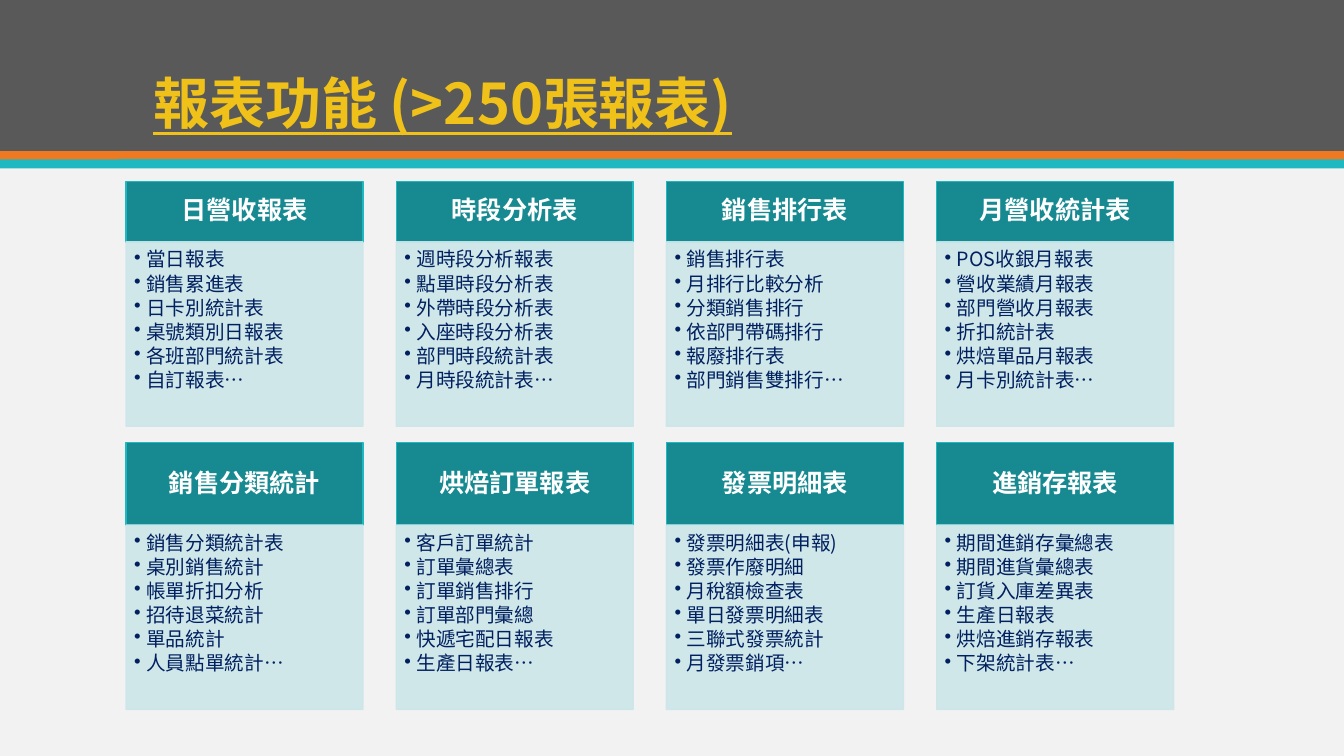
from lxml.etree import SubElement
from pptx import Presentation
from pptx.dml.color import RGBColor
from pptx.enum.shapes import MSO_CONNECTOR, MSO_SHAPE
from pptx.enum.text import MSO_ANCHOR, MSO_AUTO_SIZE, PP_ALIGN
from pptx.oxml.ns import qn
from pptx.util import Inches, Pt

FONT = "Noto Sans CJK SC"
COLORS = {
    "background": "F2F2F2",
    "band": "595959",
    "orange": "EF7920",
    "turquoise": "1EB8C1",
    "title": "EFC119",
    "header": "178A91",
    "panel": "CDE6E9",
    "item": "002060",
    "white": "FFFFFF",
}
REPORT_ROWS = [
    (1.8, 0.6, [
        ("日營收報表", ["當日報表", "銷售累進表", "日卡別統計表",
                   "桌號類別日報表", "各班部門統計表", "自訂報表…"]),
        ("時段分析表", ["週時段分析報表", "點單時段分析表", "外帶時段分析表",
                   "入座時段分析表", "部門時段統計表", "月時段統計表…"]),
        ("銷售排行表", ["銷售排行表", "月排行比較分析", "分類銷售排行",
                   "依部門帶碼排行", "報廢排行表", "部門銷售雙排行…"]),
        ("月營收統計表", ["POS收銀月報表", "營收業績月報表", "部門營收月報表",
                    "折扣統計表", "烘焙單品月報表", "月卡別統計表…"]),
    ]),
    (4.39, 0.82, [
        ("銷售分類統計", ["銷售分類統計表", "桌別銷售統計", "帳單折扣分析",
                    "招待退菜統計", "單品統計", "人員點單統計…"]),
        ("烘焙訂單報表", ["客戶訂單統計", "訂單彙總表", "訂單銷售排行",
                    "訂單部門彙總", "快遞宅配日報表", "生產日報表…"]),
        ("發票明細表", ["發票明細表(申報)", "發票作廢明細", "月稅額檢查表",
                   "單日發票明細表", "三聯式發票統計", "月發票銷項…"]),
        ("進銷存報表", ["期間進銷存彙總表", "期間進貨彙總表", "訂貨入庫差異表",
                   "生產日報表", "烘焙進銷存報表", "下架統計表…"]),
    ]),
]
CARD_LEFT, CARD_STEP, CARD_WIDTH, PANEL_HEIGHT = 1.25, 2.68, 2.35, 1.83


def add_box(shapes, left, top, width, height, fill, line=None, opacity=None):
    box = shapes.add_shape(MSO_SHAPE.RECTANGLE, Inches(left), Inches(top),
                           Inches(width), Inches(height))
    box.shadow.inherit = False
    box.fill.solid()
    box.fill.fore_color.rgb = RGBColor.from_string(COLORS[fill])
    if line:
        box.line.color.rgb = RGBColor.from_string(COLORS[line])
        box.line.width = Pt(1)
    else:
        box.line.fill.background()
    if opacity:
        for color in list(box.element.iter(qn("a:srgbClr"))):
            SubElement(color, qn("a:alpha"), val=str(opacity * 1000))
    return box


def write(frame, *texts, size, color, bold=False, underline=False, after=0,
          align=PP_ALIGN.LEFT, anchor=MSO_ANCHOR.TOP, bullet=False,
          fit=MSO_AUTO_SIZE.NONE, insets=(0.1, 0.05, 0.1, 0.05)):
    frame.word_wrap = True
    frame.auto_size = fit
    frame.vertical_anchor = anchor
    (frame.margin_left, frame.margin_top,
     frame.margin_right, frame.margin_bottom) = [Inches(inset) for inset in insets]
    for index, text in enumerate(texts):
        para = frame.add_paragraph() if index else frame.paragraphs[0]
        if bullet:
            para.level = 1
            properties = para._p.get_or_add_pPr()
            properties.set("marL", str(Inches(0.12)))
            properties.set("indent", str(Inches(-0.12)))
            SubElement(properties, qn("a:buChar"), char="•")
        para.alignment = align
        para.line_spacing = 0.9
        para.space_after = Pt(after)
        span = para.add_run()
        span.text = text
        span.font.name = FONT
        span.font.size = Pt(size)
        span.font.bold = bold
        span.font.underline = underline
        span.font.color.rgb = RGBColor.from_string(COLORS[color])
        SubElement(span.font._element, qn("a:ea"), typeface=FONT)


deck = Presentation()
deck.slide_width = Inches(13.33)
deck.slide_height = Inches(7.5)
slide = deck.slides.add_slide(deck.slide_layouts[5])
slide.background.fill.solid()
slide.background.fill.fore_color.rgb = RGBColor.from_string(COLORS["background"])

for top, height, fill in [(0, 1.5, "band"), (1.5, 0.09, "orange"),
                          (1.58, 0.09, "turquoise")]:
    add_box(slide.shapes, 0, top, 13.33, height, fill)

title = slide.shapes.title
title.element.getparent().append(title.element)
title.left, title.top = Inches(1.42), Inches(0.28)
title.width, title.height = Inches(10.5), Inches(1.13)
write(title.text_frame, "報表功能 (>250張報表)", size=40, color="title",
      bold=True, underline=True, anchor=MSO_ANCHOR.BOTTOM)

rule = slide.shapes.add_connector(MSO_CONNECTOR.STRAIGHT, Inches(1.18),
                                  Inches(1.59), Inches(11.73), Inches(1.59))
rule.line.color.rgb = RGBColor.from_string(COLORS["turquoise"])
rule.line.width = Pt(2.5)
SubElement(rule.element.spPr, qn("a:effectLst"))

for top, header_height, cards in REPORT_ROWS:
    row = slide.shapes.add_group_shape()
    for column, (heading, reports) in enumerate(cards):
        left = CARD_LEFT + column * CARD_STEP
        header = add_box(row.shapes, left, top, CARD_WIDTH, header_height,
                         "header", line="turquoise")
        write(header.text_frame, heading, size=18, color="white", bold=True,
              after=6.3, align=PP_ALIGN.CENTER, anchor=MSO_ANCHOR.MIDDLE,
              insets=(0.14, 0.08, 0.14, 0.08))
        panel = add_box(row.shapes, left, top + header_height, CARD_WIDTH,
                        PANEL_HEIGHT, "panel", line="panel", opacity=90)
        write(panel.text_frame, *reports, size=14, color="item", after=2.1,
              bullet=True, fit=MSO_AUTO_SIZE.TEXT_TO_FIT_SHAPE,
              insets=(0.08, 0.08, 0.11, 0.12))

deck.save("out.pptx")
